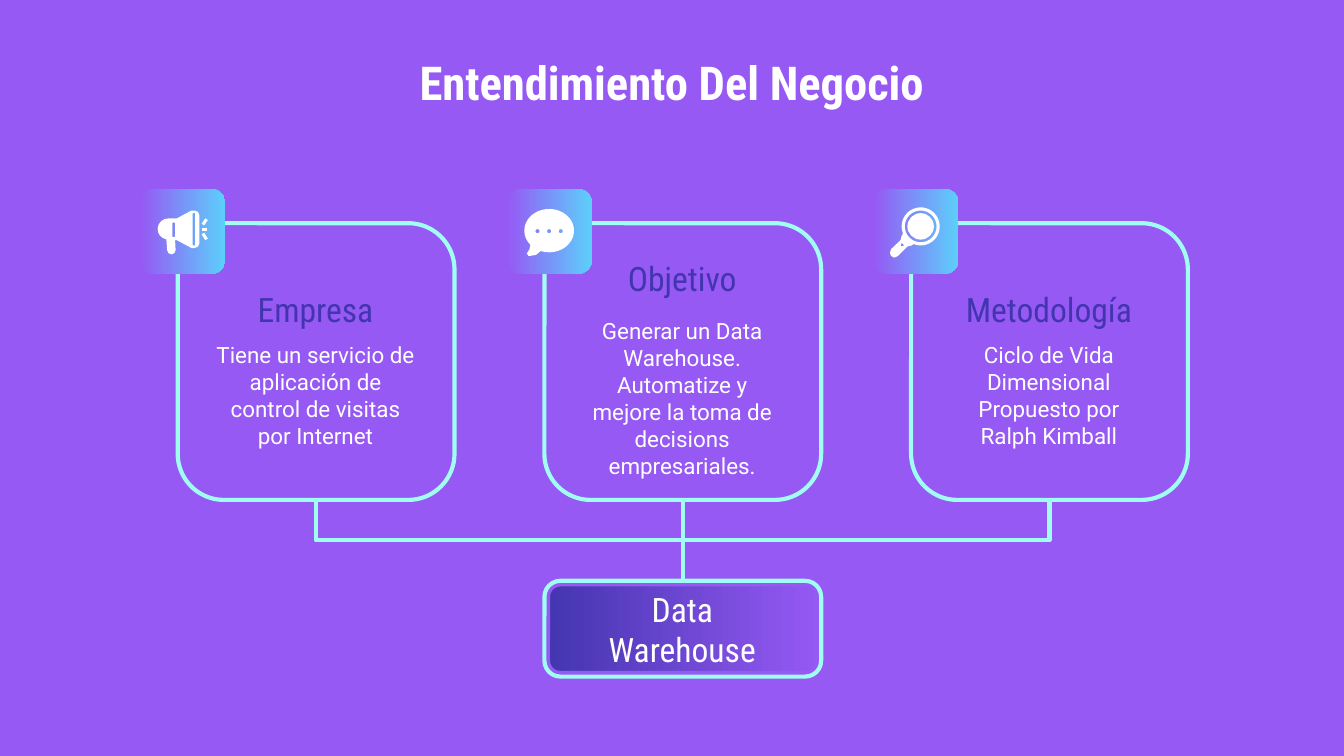
from math import ceil, cos, radians, sin, tan

from lxml.etree import SubElement
from pptx import Presentation
from pptx.dml.color import RGBColor
from pptx.enum.shapes import MSO_CONNECTOR, MSO_SHAPE
from pptx.enum.text import MSO_ANCHOR, PP_ALIGN
from pptx.oxml.ns import qn
from pptx.util import Cm, Pt

COLORS = {"purple": "9659F4", "indigo": "4335AF", "sky": "5CCFFB", "mint": "A0FDF1", "white": "FFFFFF"}
STROKES = [("purple", 6), ("mint", 2.25)]

CARD_LEFT, CARD_TOP, CARD_SIZE, PITCH = 3.36, 4.22, 5.23, 6.93
BOX_TOP, BOX_HEIGHT = 10.98, 1.81
CARD_BOTTOM = CARD_TOP + CARD_SIZE
BADGE_SIZE, BADGE_TOP, BADGE_SHIFT = 1.61, 3.57, 0.71
TEXT_WIDTH = 4.29
TEXT_SHIFT = 0.46

CARDS = [
    ("Empresa", "Tiene un servicio de aplicación de control de visitas por Internet", 5.49, 0.71, 2.72),
    ("Objetivo", "Generar un Data Warehouse. Automatize y mejore la toma de decisions empresariales.", 4.76, 0.99, 2.97),
    ("Metodología", "Ciclo de Vida Dimensional Propuesto por Ralph Kimball", 5.49, 0.71, 2.11),
]


def rgb(name):
    return RGBColor.from_string(COLORS[name])


def lines(*points):
    return [[point] for point in points]


def arc(cx, cy, rx, ry, start=0, end=360):
    count = ceil(abs(end - start) / 90)
    step = radians(end - start) / count
    k = 4 / 3 * tan(step / 4)

    def at(angle, pull=0):
        return cx + rx * (cos(angle) - pull * sin(angle)), cy + ry * (sin(angle) + pull * cos(angle))

    angles = [radians(start) + step * i for i in range(count + 1)]
    return lines(at(angles[0])) + [[at(a, k), at(b, -k), at(b)] for a, b in zip(angles, angles[1:])]


def rect(left, top, right, bottom):
    return lines((left, top), (right, top), (right, bottom), (left, bottom))


MEGAPHONE = [
    [
        lines((0.97, 0.41), (0.69, 0.56))
        + arc(0.53, 0.76, 0.2, 0.2, 270, 100)
        + arc(0.59, 1.16, 0.08, 0.08, 180, 0)
        + lines((0.66, 0.97), (0.69, 0.97), (0.97, 1.12))
        + arc(1.03, 1.03, 0.09, 0.09, 90, 0)
        + arc(1.03, 0.5, 0.09, 0.09, 0, -90),
        rect(0.61, 0.64, 0.66, 0.91),
        rect(0.99, 0.46, 1.04, 1.07),
    ],
    [rect(1.17, 0.74, 1.27, 0.79)],
    [lines((1.23, 0.56), (1.28, 0.59), (1.21, 0.69), (1.16, 0.66))],
    [lines((1.16, 0.86), (1.21, 0.83), (1.28, 0.94), (1.23, 0.97))],
]
BUBBLE = [
    [arc(0.8, 0.79, 0.47, 0.41, 139, 470) + lines((0.55, 1.25), (0.41, 1.27), (0.38, 1.22), (0.43, 1.14))]
    + [arc(0.58 + 0.22 * i, 0.8, 0.04, 0.04) for i in range(3)]
]
MAGNIFIER = [
    [
        arc(0.89, 0.71, 0.36, 0.36, 158, 472)
        + lines((0.72, 1.07), (0.64, 1.09), (0.46, 1.27), (0.39, 1.3), (0.33, 1.27))
        + lines((0.31, 1.21), (0.33, 1.14), (0.51, 0.97), (0.53, 0.89)),
        arc(0.89, 0.71, 0.3, 0.3),
        lines((0.53, 1.02), (0.58, 1.07), (0.53, 1.09), (0.51, 1.07)),
    ],
    [arc(0.89, 0.71, 0.25, 0.25)],
]
ICONS = [MEGAPHONE, BUBBLE, MAGNIFIER]


def write(tf, text, size=12, font="Roboto", color="white", bold=False, anchor=MSO_ANCHOR.MIDDLE):
    tf.word_wrap = True
    tf.vertical_anchor = anchor
    tf.margin_left = tf.margin_right = tf.margin_top = tf.margin_bottom = Cm(0.25)
    p = tf.paragraphs[0]
    p.alignment = PP_ALIGN.CENTER
    r = p.add_run()
    r.text = text
    r.font.size = Pt(size)
    r.font.name = font
    r.font.bold = bold
    r.font.color.rgb = rgb(color)


class Deck:
    heading = {"size": 18, "font": "Roboto Condensed"}

    def __init__(self):
        self.prs = Presentation()
        self.prs.slide_width, self.prs.slide_height = Cm(25.4), Cm(14.29)
        self.s = self.prs.slides.add_slide(self.prs.slide_layouts[6])
        self.s.background.fill.solid()
        self.s.background.fill.fore_color.rgb = rgb("purple")

    def text(self, x, y, w, h, text, **fmt):
        sp = self.s.shapes.add_textbox(Cm(x), Cm(y), Cm(w), Cm(h))
        write(sp.text_frame, text, **fmt)

    def box(self, x, y, w, h, stroke=None, gradient=None):
        sp = self.s.shapes.add_shape(MSO_SHAPE.ROUNDED_RECTANGLE, Cm(x), Cm(y), Cm(w), Cm(h))
        sp.shadow.inherit = False
        if gradient:
            sp.fill.gradient()
            sp.fill.gradient_angle = 0
            for stop, color in zip(sp.fill.gradient_stops, gradient):
                stop.color.rgb = rgb(color)
        else:
            sp.fill.background()
        if stroke:
            self.stroke(sp, stroke)
        else:
            sp.line.fill.background()
        return sp

    def stroke(self, sp, stroke):
        color, width = stroke
        sp.line.color.rgb = rgb(color)
        sp.line.width = Pt(width)

    def connector(self, kind, x1, y1, x2, y2, stroke):
        sp = self.s.shapes.add_connector(kind, Cm(x1), Cm(y1), Cm(x2), Cm(y2))
        SubElement(sp._element.spPr, qn("a:effectLst"))
        self.stroke(sp, stroke)
        return sp

    def elbow(self, x1, y1, x2, y2, stroke):
        cx, cy = (x1 + x2) / 2, (y1 + y2) / 2
        dx, dy = (y2 - y1) / 2, abs(x2 - x1) / 2
        rightward = x2 > x1
        if rightward:
            dx = -dx
        sp = self.connector(MSO_CONNECTOR.ELBOW, cx - dx, cy - dy, cx + dx, cy + dy, stroke)
        sp._element.spPr.find(qn("a:xfrm")).set("rot", "16200000" if rightward else "5400000")

    def link(self, top, bottom, x, stroke):
        sp = self.connector(MSO_CONNECTOR.STRAIGHT, x, CARD_BOTTOM, x, BOX_TOP, stroke)
        sp.begin_connect(top, 2)
        sp.end_connect(bottom, 0)

    def icon(self, x, y, outlines):
        for contours in outlines:
            points = [[(Cm(x + px), Cm(y + py)) for seg in c for px, py in seg] for c in contours]
            fb = self.s.shapes.build_freeform(*points[0][0])
            fb.add_line_segments(points[0][1:])
            for contour in points[1:]:
                fb.move_to(*contour[0])
                fb.add_line_segments(contour[1:])
            sp = fb.convert_to_shape()
            self.curve(sp, [len(seg) for c in contours for seg in c[1:]])
            sp.shadow.inherit = False
            sp.fill.solid()
            sp.fill.fore_color.rgb = rgb("white")
            sp.line.fill.background()

    def curve(self, sp, lengths):
        steps = iter(list(sp._element.iter(qn("a:lnTo"))))
        for length in lengths:
            group = [next(steps) for _ in range(length)]
            if length == 3:
                bezier = SubElement(group[0].getparent(), qn("a:cubicBezTo"))
                group[0].addprevious(bezier)
                for step in group:
                    bezier.append(step[0])
                    step.getparent().remove(step)


def main():
    d = Deck()
    lefts = [CARD_LEFT + PITCH * i for i in range(len(CARDS))]
    centers = [x + CARD_SIZE / 2 for x in lefts]
    for stroke in STROKES:
        for x in (centers[0], centers[2]):
            d.elbow(x, CARD_BOTTOM, centers[1], BOX_TOP, stroke)
        cards = [d.box(x, CARD_TOP, CARD_SIZE, CARD_SIZE, stroke) for x in lefts]
        gradient = ("indigo", "purple") if stroke == STROKES[0] else None
        box = d.box(lefts[1], BOX_TOP, CARD_SIZE, BOX_HEIGHT, stroke, gradient)
        d.link(cards[1], box, centers[1], stroke)

    d.text(1.43, 0.84, 22.53, 1.42, "Entendimiento Del Negocio", size=25, font="Roboto Condensed", bold=True)
    for x, icon, (name, body, top, name_height, body_height) in zip(lefts, ICONS, CARDS):
        badge_left = x - BADGE_SHIFT
        d.box(badge_left, BADGE_TOP, BADGE_SIZE, BADGE_SIZE, gradient=("purple", "sky"))
        d.icon(badge_left, BADGE_TOP, icon)
        left = x + TEXT_SHIFT
        d.text(left, top, TEXT_WIDTH, name_height, name, color="indigo", **d.heading)
        d.text(left, top + name_height, TEXT_WIDTH, body_height, body, anchor=MSO_ANCHOR.TOP)
    d.text(lefts[1] + TEXT_SHIFT, 11.54, TEXT_WIDTH, 0.71, "Data Warehouse", **d.heading)
    d.prs.save("out.pptx")


if __name__ == "__main__":
    main()
